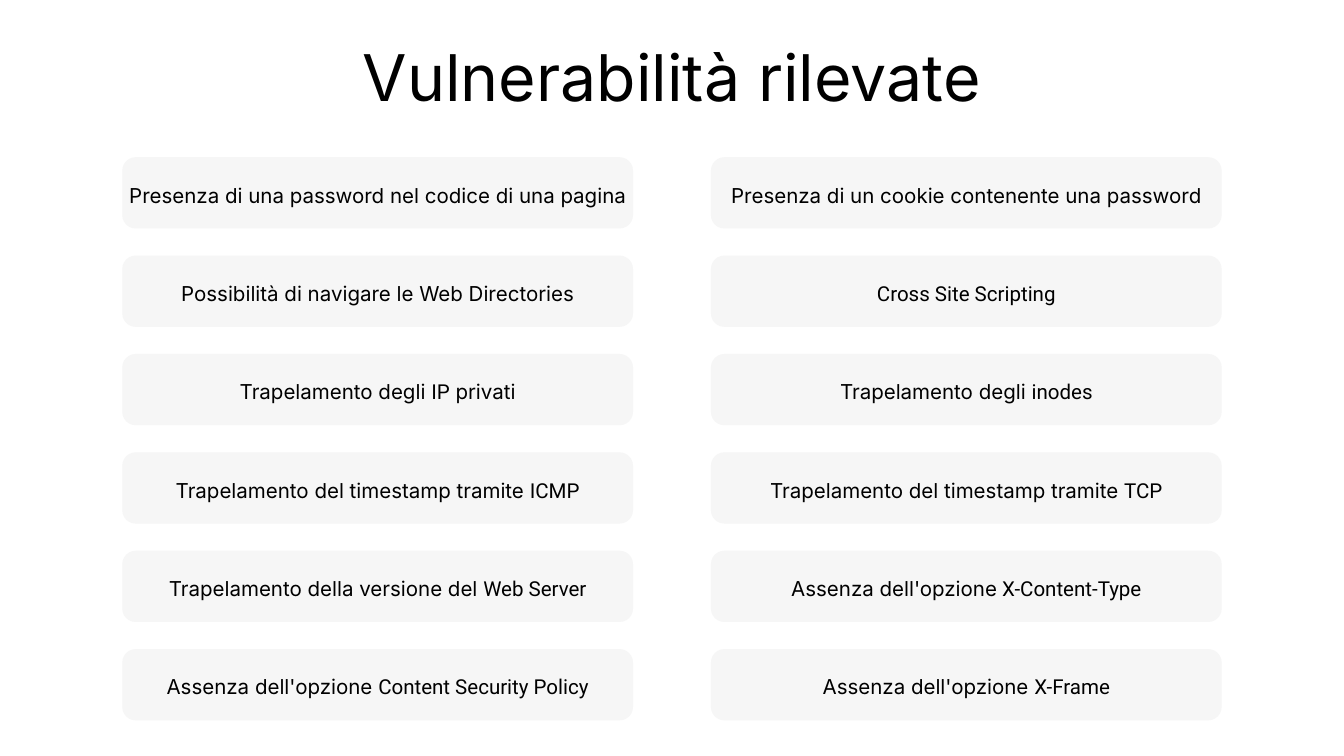
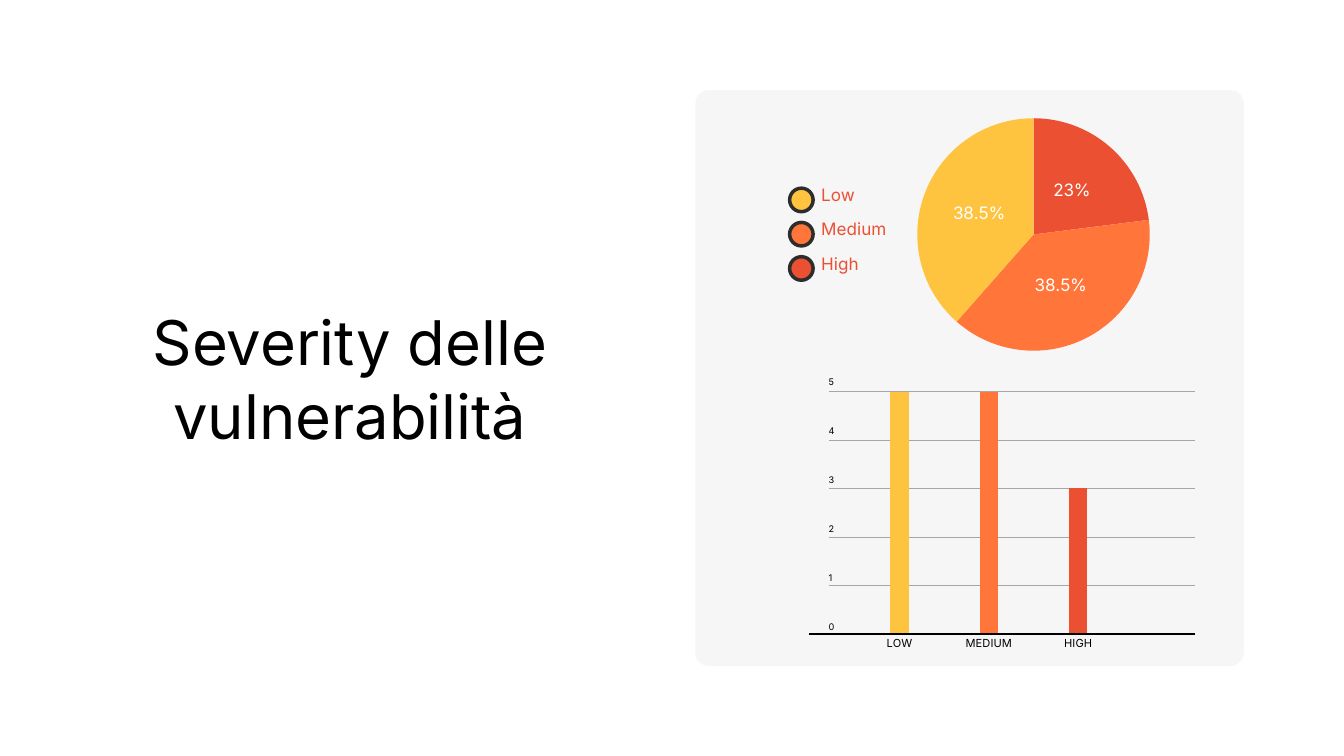
from pptx import Presentation
from pptx.chart.data import CategoryChartData
from pptx.dml.color import RGBColor
from pptx.enum.chart import XL_CHART_TYPE, XL_LABEL_POSITION, XL_TICK_MARK
from pptx.enum.shapes import MSO_CONNECTOR, MSO_SHAPE
from pptx.enum.text import MSO_ANCHOR, PP_ALIGN
from pptx.oxml import parse_xml
from pptx.oxml.ns import nsdecls, qn
from pptx.util import Inches, Pt

PIE, COLUMN = XL_CHART_TYPE.PIE, XL_CHART_TYPE.COLUMN_CLUSTERED
LABEL_CENTER, NO_TICK = XL_LABEL_POSITION.CENTER, XL_TICK_MARK.NONE
STRAIGHT = MSO_CONNECTOR.STRAIGHT
ROUNDED, OVAL = MSO_SHAPE.ROUNDED_RECTANGLE, MSO_SHAPE.OVAL
LEFT, CENTER = PP_ALIGN.LEFT, PP_ALIGN.CENTER
TOP, MIDDLE = MSO_ANCHOR.TOP, MSO_ANCHOR.MIDDLE

COLORS = {
    "text": "000000", "white": "FFFFFF", "card": "F1F1F1", "outline": "2D2D2D",
    "grid": "A6A6A6", "Low": "FEC440", "Medium": "FF753A", "High": "EB5033",
}
FONTS = ("Inter", "Roboto")
CARD_RADIUS = 0.2

# Within a label, "|" switches between the two fonts.
VULNERABILITIES = [
    ("Presenza di una password nel codice di una pagina",
     "Presenza di un cookie contenente una password"),
    ("Possibilità di navigare le Web Directories", "|Cross Site Scripting"),
    ("Trapelamento degli |IP| privati", "Trapelamento degli |inodes"),
    ("Trapelamento del timestamp tramite |ICMP",
     "Trapelamento del timestamp tramite |TCP"),
    ("Trapelamento della versione del |Web Server",
     "Assenza dell'opzione| X-Content-Type"),
    ("Assenza dell'opzione |Content Security Policy",
     "Assenza dell'opzione |X-Frame"),
]
SHARES = {"High": 23, "Medium": 38.5, "Low": 38.5}
COUNTS = {"Low": 5, "Medium": 5, "High": 3}


def rgb(name):
    """Return the named colour."""
    return RGBColor.from_string(COLORS[name])


def write(tf, text, size, spacing, color="text", align=CENTER, anchor=TOP):
    """Fill a text frame with one formatted paragraph."""
    tf.word_wrap = True
    tf.vertical_anchor = anchor
    tf.margin_left = tf.margin_right = tf.margin_top = tf.margin_bottom = 0
    p = tf.paragraphs[0]
    p.alignment = align
    p.line_spacing = Pt(spacing)
    for i, part in enumerate(text.split("|")):
        if part:
            r = p.add_run()
            r.text = part
            r.font.name = FONTS[i % 2]
            r.font.size = Pt(size)
            r.font.color.rgb = rgb(color)


def add_text(s, box, text, **fmt):
    """Add a text box."""
    write(s.shapes.add_textbox(*map(Inches, box)).text_frame, text, **fmt)


def add_filled(s, kind, box, color):
    """Add a preset shape with a plain fill and no line."""
    sp = s.shapes.add_shape(kind, *map(Inches, box))
    sp.shadow.inherit = False
    sp.fill.solid()
    sp.fill.fore_color.rgb = rgb(color)
    sp.line.fill.background()
    return sp


def add_card(s, box):
    """Add a translucent rounded card."""
    sp = add_filled(s, ROUNDED, box, "card")
    sp.adjustments[0] = CARD_RADIUS / min(box[2:])
    clr = sp.fill._xPr.find(".//" + qn("a:srgbClr"))
    clr.append(parse_xml(f'<a:alpha {nsdecls("a")} val="64000"/>'))
    return sp


def add_line(s, x1, x2, y, color, width):
    """Add a horizontal line."""
    cn = s.shapes.add_connector(STRAIGHT, *map(Inches, (x1, y, x2, y)))
    cn.line.color.rgb = rgb(color)
    cn.line.width = Pt(width)
    cn._element.spPr.append(parse_xml(f'<a:effectLst {nsdecls("a")}/>'))


def add_chart(s, kind, frame, plot_box, values, size, color, upper=False):
    """Add a transparent chart whose plot fills plot_box, in slide inches."""
    data = CategoryChartData()
    data.categories = [name.upper() if upper else name for name in values]
    data.add_series("Severity", values.values())
    chart = s.shapes.add_chart(kind, *map(Inches, frame), data).chart
    chart.has_legend = chart.has_title = False
    chart.font.name = FONTS[0]
    chart.font.size = Pt(size)
    chart.font.color.rgb = rgb(color)
    left, top, width, height = frame
    x, y, w, h = plot_box
    fractions = {"x": (x - left) / width, "y": (y - top) / height,
                 "w": w / width, "h": h / height}
    area = chart.element.find(".//" + qn("c:plotArea"))
    for old in area.findall(qn("c:layout")):
        area.remove(old)
    area.insert(0, parse_xml(
        f'<c:layout {nsdecls("c")}><c:manualLayout><c:layoutTarget val="inner"/>'
        '<c:xMode val="edge"/><c:yMode val="edge"/>'
        + "".join(f'<c:{k} val="{v:.4f}"/>' for k, v in fractions.items())
        + "</c:manualLayout></c:layout>"))
    chart.element.find(qn("c:chart")).addnext(parse_xml(
        f'<c:spPr {nsdecls("c", "a")}><a:noFill/><a:ln><a:noFill/></a:ln></c:spPr>'))
    plot = chart.plots[0]
    plot.vary_by_categories = kind == PIE
    for i, name in enumerate(values):
        fmt = plot.series[0].points[i].format
        fmt.fill.solid()
        fmt.fill.fore_color.rgb = rgb(name)
        fmt.line.fill.background()
    return chart


def add_share_pie(s):
    """Add the pie of severity shares."""
    chart = add_chart(s, PIE, (13.55, 1.66, 3.66, 3.66), (13.65, 1.76, 3.46, 3.46),
                      SHARES, 18.3, "white")
    plot = chart.plots[0]
    plot.has_data_labels = True
    labels = plot.data_labels
    labels.show_value = True
    labels.number_format = 'General"%"'
    labels.number_format_is_linked = False
    labels.position = LABEL_CENTER
    labels.font.name = FONTS[0]
    labels.font.size = Pt(18.3)
    labels.font.color.rgb = rgb("white")


def add_count_columns(s):
    """Add the column chart of severity counts with its ruled scale."""
    base, step, top = 9.43, 0.72, max(COUNTS.values())
    for i in range(1, top + 1):
        add_line(s, 12.33, 17.78, base - i * step, "grid", 0.75)
    height = top * step
    chart = add_chart(s, COLUMN, (12.72, 5.63, 3.99, 4.25),
                      (12.72, base - height, 3.99, height),
                      COUNTS, 11.9, "text", upper=True)
    chart.plots[0].gap_width = 393
    values, names = chart.value_axis, chart.category_axis
    values.minimum_scale, values.maximum_scale = 0, top
    values.has_major_gridlines = False
    values.visible = False
    names.major_tick_mark = NO_TICK
    names.format.line.fill.background()
    add_line(s, 12.04, 17.78, base, "text", 2.25)
    for i in range(top + 1):
        add_text(s, (12.33, 9.28 - i * 0.73, 0.55, 0.14), str(i),
                 size=9.8, spacing=9.8, align=LEFT)


def add_legend(s):
    """Add the severity legend."""
    for i, name in enumerate(COUNTS):
        y = 2.8 + i * 0.51
        dot = add_filled(s, OVAL, (11.75, y, 0.35, 0.35), name)
        dot.line.color.rgb = rgb("outline")
        dot.line.width = Pt(3.75)
        add_text(s, (12.22, y - 0.03, 1.11, 0.29), name,
                 size=18.3, spacing=20.3, color="High", align=LEFT)


def build_findings(s):
    """Build the list of vulnerabilities found."""
    add_text(s, (3.39, 0.55, 13.22, 1.15), "Vulnerabilità rilevate",
             size=69, spacing=82.8)
    for row, labels in enumerate(VULNERABILITIES):
        for x, label in zip((1.82, 10.58), labels):
            card = add_card(s, (x, 2.34 + row * 1.464, 7.6, 1.06))
            write(card.text_frame, label, size=22, spacing=30.8, anchor=MIDDLE)


def build_severity(s):
    """Build the severity breakdown."""
    add_card(s, (10.35, 1.34, 8.16, 8.57))
    add_text(s, (1.29, 4.52, 7.84, 2.2), "Severity delle vulnerabilità",
             size=66, spacing=79.2)
    add_share_pie(s)
    add_legend(s)
    add_count_columns(s)


def main():
    """Build and save the presentation."""
    prs = Presentation()
    prs.slide_width, prs.slide_height = Inches(20), Inches(11.25)
    for build in (build_findings, build_severity):
        build(prs.slides.add_slide(prs.slide_layouts[6]))
    prs.save("out.pptx")


if __name__ == "__main__":
    main()
